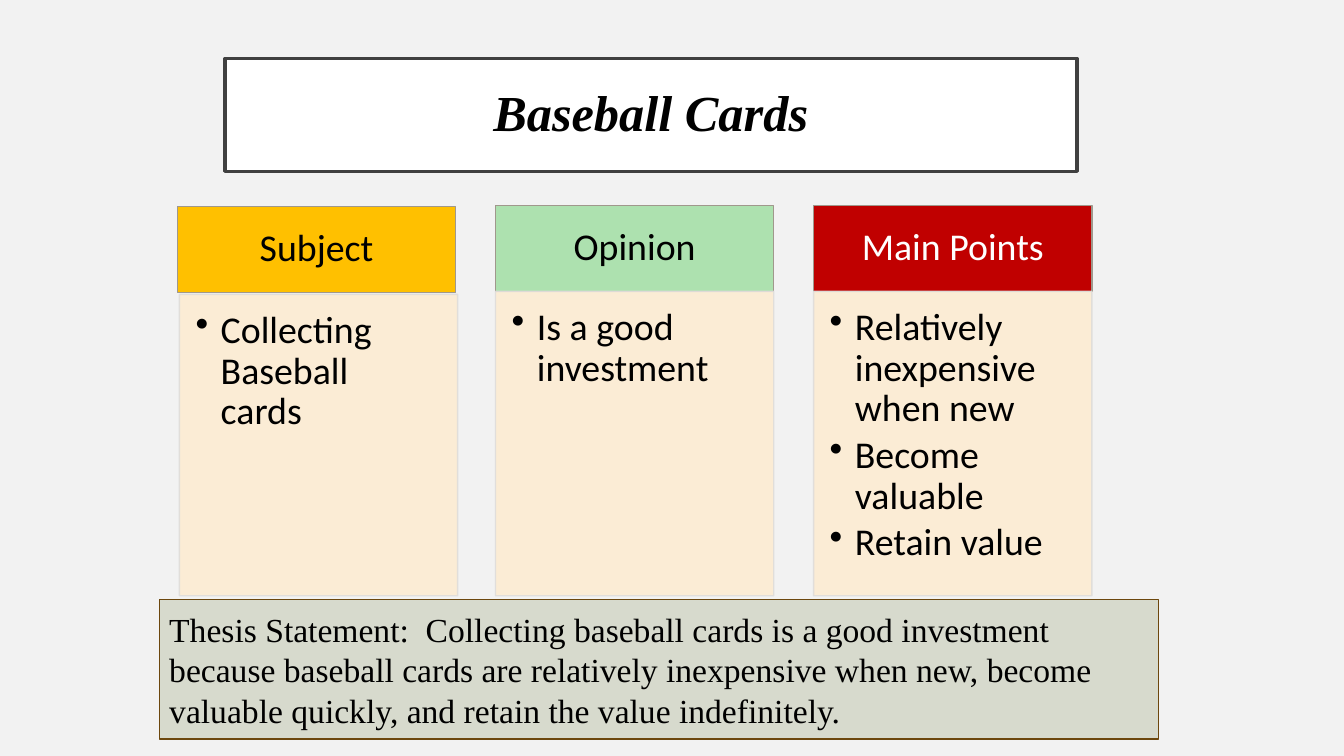
import dataclasses

import pptx
import pptx.dml.color
import pptx.enum.shapes
import pptx.enum.text
import pptx.oxml.ns
import pptx.util
from lxml import etree
from pptx.util import Inches

ALIGN = pptx.enum.text.PP_ALIGN
ANCHOR = pptx.enum.text.MSO_ANCHOR


@dataclasses.dataclass(frozen=True)
class Theme:
    background: str = "F2F2F2"
    white: str = "FFFFFF"
    ink: str = "000000"
    title_line: str = "404040"
    header_line: str = "A0988C"
    panel: str = "FDECD2"
    panel_line: str = "DFDDDA"
    thesis: str = "D7DACD"
    thesis_line: str = "6C470D"
    serif: str = "Times New Roman"
    sans: str = "Calibri"
    title_size: int = 36
    column_size: int = 27
    thesis_size: int = 24


def color(value):
    return pptx.dml.color.RGBColor.from_string(value)


def write_text(shape, paragraphs, *, font, size, ink, align=ALIGN.LEFT, anchor=ANCHOR.MIDDLE,
               margins=(0.1, 0.05, 0.1, 0.05), spacing=1.0, after=0, bullets=False,
               bold=False, italic=False):
    """Fill a shape with formatted paragraphs."""
    frame = shape.text_frame
    frame.word_wrap = True
    frame.auto_size = pptx.enum.text.MSO_AUTO_SIZE.NONE
    frame.vertical_anchor = anchor
    (frame.margin_left, frame.margin_top,
     frame.margin_right, frame.margin_bottom) = map(Inches, margins)
    frame.text = "\n".join(paragraphs)
    for paragraph in frame.paragraphs:
        paragraph.alignment = align
        paragraph.line_spacing = spacing
        paragraph.space_before = pptx.util.Pt(0)
        paragraph.space_after = pptx.util.Pt(after)
        if bullets:
            properties = paragraph._p.get_or_add_pPr()
            properties.set("marL", str(Inches(0.25)))
            properties.set("indent", str(-Inches(0.25)))
            bullet = etree.SubElement(properties, pptx.oxml.ns.qn("a:buChar"))
            bullet.set("char", "•")
        for run in paragraph.runs:
            run.font.name = font
            run.font.size = pptx.util.Pt(size)
            run.font.bold = bold
            run.font.italic = italic
            run.font.color.rgb = color(ink)


class SlideBuilder:
    def __init__(self, presentation, theme):
        self.theme = theme
        self.slide = presentation.slides.add_slide(presentation.slide_layouts[5])
        fill = self.slide.background.fill
        fill.solid()
        fill.fore_color.rgb = color(theme.background)

    def paint(self, shape, fill, line, width=1, opacity=100):
        shape.fill.solid()
        shape.fill.fore_color.rgb = color(fill)
        shape.line.color.rgb = color(line)
        shape.line.width = pptx.util.Pt(width)
        if opacity < 100:
            for value in shape._element.spPr.iter(pptx.oxml.ns.qn("a:srgbClr")):
                alpha = etree.SubElement(value, pptx.oxml.ns.qn("a:alpha"))
                alpha.set("val", str(opacity * 1000))

    def title(self, text, left, top, width, height):
        title = self.slide.shapes.title
        title.left, title.top, title.width, title.height = map(Inches, (left, top, width, height))
        self.paint(title, self.theme.white, self.theme.title_line, 2.5)
        write_text(title, [text], font=self.theme.serif, size=self.theme.title_size,
                   ink=self.theme.ink, align=ALIGN.CENTER, margins=(0.2,) * 4,
                   spacing=0.9, bold=True, italic=True)

    def box(self, left, top, width, height, fill, line, opacity=100):
        shape = self.slide.shapes.add_shape(
            pptx.enum.shapes.MSO_SHAPE.RECTANGLE, *map(Inches, (left, top, width, height)))
        shape.shadow.inherit = False
        self.paint(shape, fill, line, opacity=opacity)
        return shape

    def header(self, text, left, top, width, fill, ink):
        shape = self.box(left, top, width, 0.85, fill, self.theme.header_line)
        write_text(shape, [text], font=self.theme.sans, size=self.theme.column_size, ink=ink,
                   align=ALIGN.CENTER, margins=(0.21, 0.12, 0.21, 0.12), spacing=0.9)

    def panel(self, points, left, top, width, bottom):
        shape = self.box(left, top, width, bottom - top, self.theme.panel,
                         self.theme.panel_line, opacity=90)
        write_text(shape, points, font=self.theme.sans, size=self.theme.column_size,
                   ink=self.theme.ink, anchor=ANCHOR.TOP, margins=(0.16, 0.16, 0.21, 0.24),
                   spacing=0.9, after=4, bullets=True)

    def thesis(self, text, left, top, width, height):
        shape = self.box(left, top, width, height, self.theme.thesis, self.theme.thesis_line)
        write_text(shape, [text], font=self.theme.serif, size=self.theme.thesis_size,
                   ink=self.theme.ink)


def main():
    theme = Theme()
    presentation = pptx.Presentation()
    presentation.slide_width = Inches(13.33)
    presentation.slide_height = Inches(7.5)
    builder = SlideBuilder(presentation, theme)

    builder.title("Baseball Cards", 2.23, 0.58, 8.45, 1.12)

    # Columns: heading, fill, text colour, header top, panel shift, panel top, points
    columns = [
        ("Subject", "FFC000", theme.ink, 2.05, 0.02, 2.92, ["Collecting Baseball cards"]),
        ("Opinion", "ADE1AF", theme.ink, 2.04, 0, 2.89, ["Is a good investment"]),
        ("Main Points", "C00000", theme.white, 2.04, 0, 2.89,
         ["Relatively inexpensive when new", "Become valuable", "Retain value"]),
    ]
    first_left, pitch, width, bottom = 1.76, 3.155, 2.76, 5.91
    for index, (heading, fill, ink, top, shift, panel_top, points) in enumerate(columns):
        left = first_left + index * pitch
        builder.header(heading, left, top, width, fill, ink)
        builder.panel(points, left + shift, panel_top, width, bottom)

    # Thesis statement
    builder.thesis(
        "Thesis Statement:  Collecting baseball cards is a good investment because baseball "
        "cards are relatively inexpensive when new, become valuable quickly, and retain the "
        "value indefinitely.", 1.58, 5.95, 9.91, 1.38)

    presentation.save("out.pptx")


if __name__ == "__main__":
    main()
